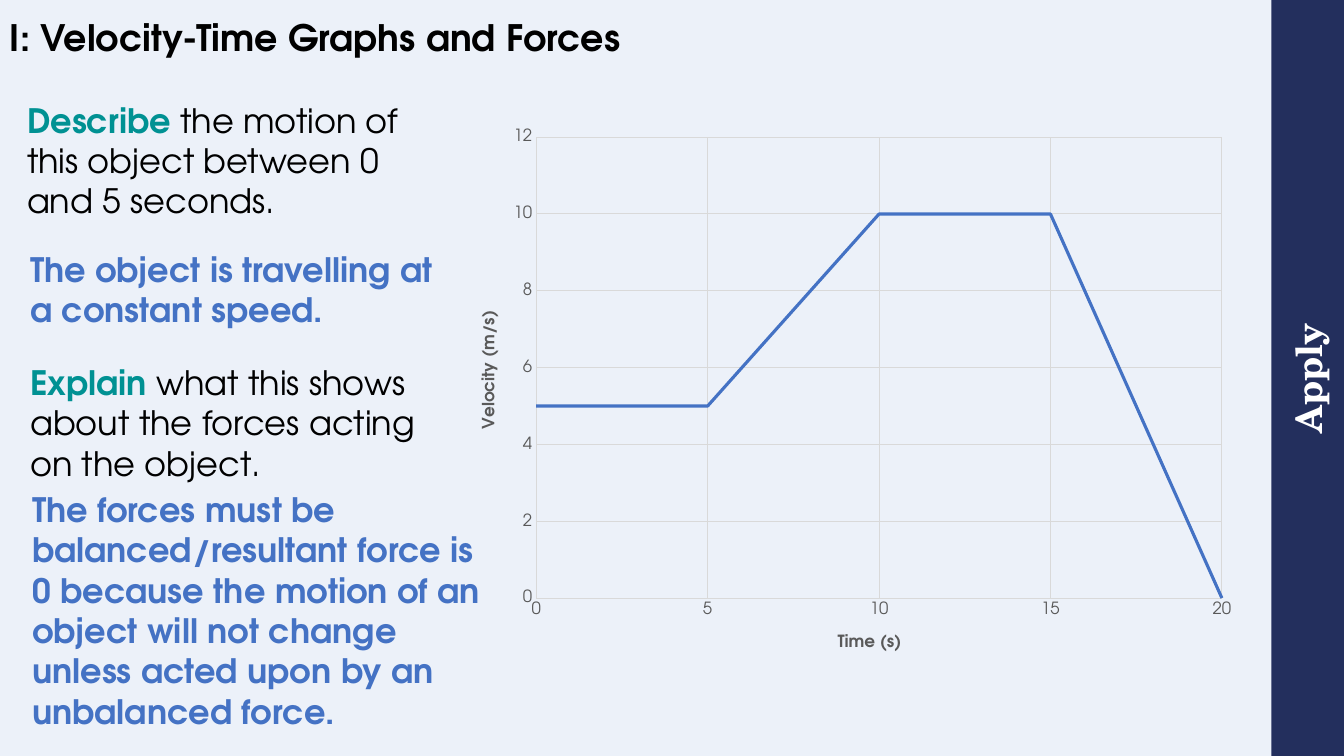
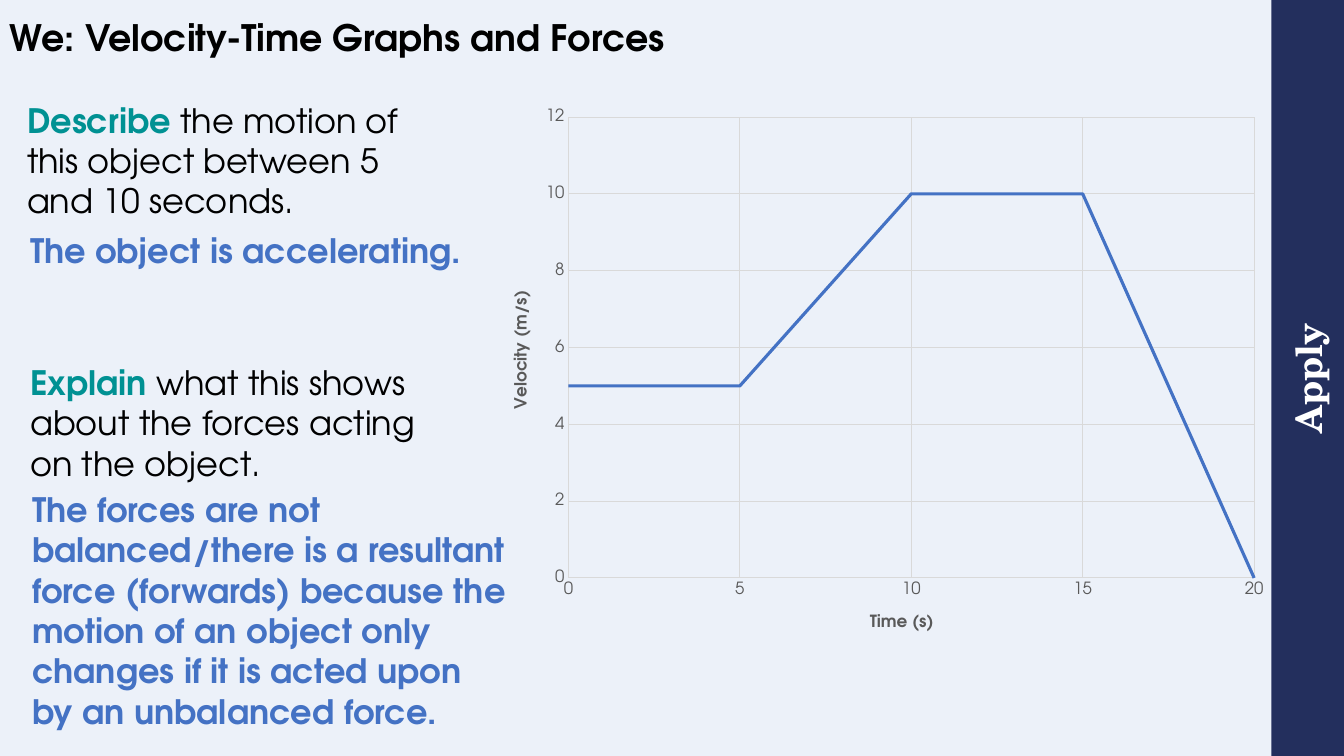
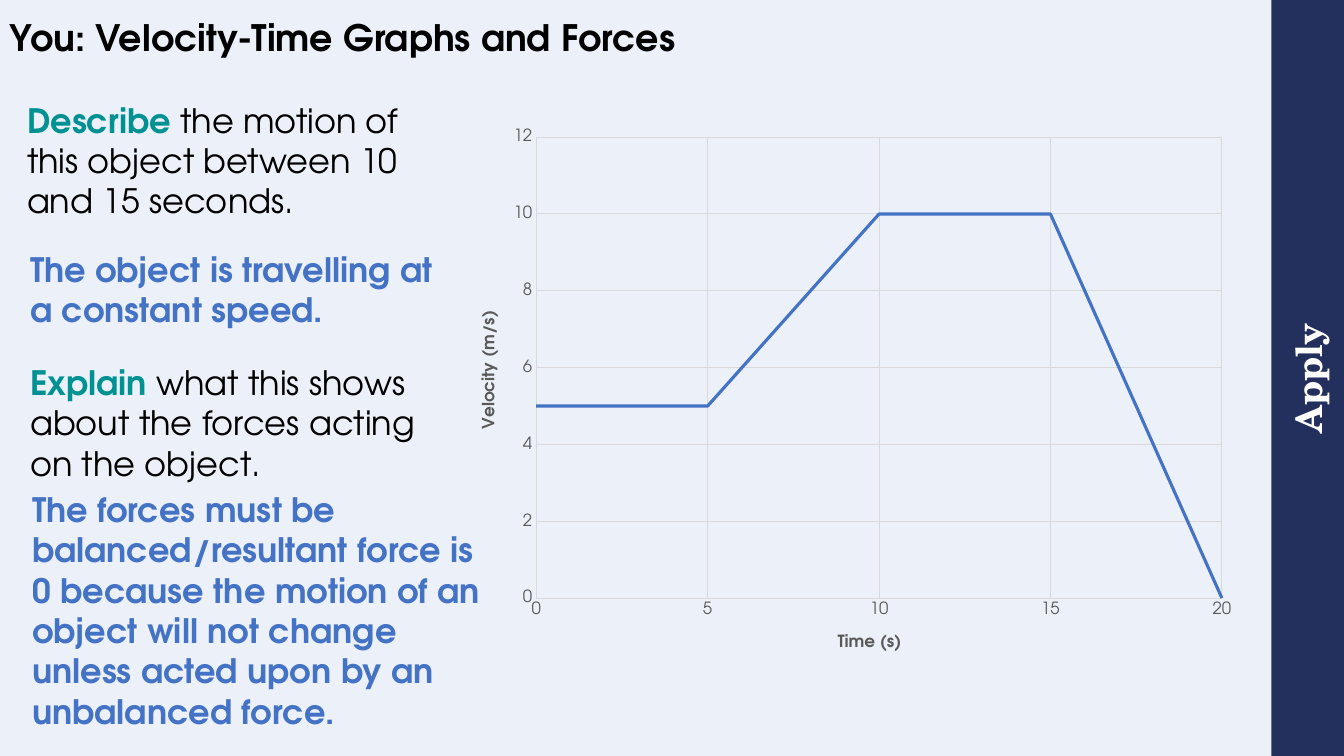
from lxml import etree
from pptx import Presentation
from pptx.chart.data import CategoryChartData
from pptx.dml.color import RGBColor
from pptx.enum.chart import XL_CHART_TYPE, XL_TICK_MARK
from pptx.enum.shapes import MSO_SHAPE
from pptx.enum.text import MSO_ANCHOR, MSO_AUTO_SIZE, PP_ALIGN
from pptx.oxml.ns import qn
from pptx.util import Inches, Pt

# Shared style
BODY_FONT, BAND_FONT = "TeX Gyre Adventor", "TeX Gyre Schola"
BACKGROUND, NAVY, BLUE, TEAL = "ECF1F9", "232F5D", "4472C4", "009193"
BLACK, WHITE, GRAY, GRID = "000000", "FFFFFF", "595959", "D9D9D9"
SLIDE_WIDTH, SLIDE_HEIGHT, BAND_WIDTH = 13.33, 7.5, 0.72
CHART_SIZE = (7.89, 5.51)

# Content
TOPIC = "Velocity-Time Graphs and Forces"
TIMES = ["0", "5", "10", "15", "20"]
VELOCITIES = [5, 5, 10, 10, 0]
EXPLAIN = " what this shows about the forces acting on the object."
CONSTANT = {
    "motion": "The object is travelling at a constant speed.",
    "motion_box": (0.2, 2.42, 4.27, 0.91),
    "forces": "The forces must be balanced/resultant force is 0 because the motion "
              "of an object will not change unless acted upon by an unbalanced force.",
    "forces_width": 4.68,
    "chart_at": (4.49, 1.18),
}
ACCELERATING = {
    "motion": "The object is accelerating.",
    "motion_box": (0.2, 2.23, 4.57, 0.5),
    "forces": "The forces are not balanced/there is a resultant force (forwards) "
              "because the motion of an object only changes if it is acted upon by "
              "an unbalanced force.",
    "forces_width": 4.91,
    "chart_at": (4.81, 0.98),
}
SLIDES = [
    ("I", 0, 5, CONSTANT),
    ("We", 5, 10, ACCELERATING),
    ("You", 10, 15, CONSTANT),
]


def color(value):
    return RGBColor.from_string(value)


def format_font(font, size, fill, bold=False, name=BODY_FONT):
    font.name, font.size, font.bold = name, Pt(size), bold
    font.color.rgb = color(fill)


def write_text(frame, runs, size=24, name=BODY_FONT, align=PP_ALIGN.LEFT,
               anchor=MSO_ANCHOR.TOP, spacing=None):
    """Write (text, colour, bold) runs as one paragraph."""
    frame.word_wrap = True
    frame.vertical_anchor = anchor
    paragraph = frame.paragraphs[0]
    paragraph.alignment = align
    if spacing:
        paragraph.line_spacing = spacing
    for text, fill, bold in runs:
        run = paragraph.add_run()
        run.text = text
        format_font(run.font, size, fill, bold, name)


def add_text(slide, box, runs, grow=True, **text_format):
    frame = slide.shapes.add_textbox(*map(Inches, box)).text_frame
    write_text(frame, runs, **text_format)
    frame.auto_size = MSO_AUTO_SIZE.SHAPE_TO_FIT_TEXT if grow else MSO_AUTO_SIZE.NONE


def add_band(slide):
    # The band is laid out horizontally, then turned about its centre
    left = SLIDE_WIDTH - (BAND_WIDTH + SLIDE_HEIGHT) / 2
    top = (SLIDE_HEIGHT - BAND_WIDTH) / 2
    band = slide.shapes.add_shape(MSO_SHAPE.RECTANGLE, *map(
        Inches, (left, top, SLIDE_HEIGHT, BAND_WIDTH)))
    band.rotation = 270
    band.shadow.inherit = False
    band.fill.solid()
    band.fill.fore_color.rgb = color(NAVY)
    band.line.fill.background()
    frame = band.text_frame
    frame.margin_left = frame.margin_right = frame.margin_top = frame.margin_bottom = 0
    write_text(frame, [("Apply", WHITE, True)], size=26, name=BAND_FONT,
               align=PP_ALIGN.CENTER, anchor=MSO_ANCHOR.MIDDLE)


def place(element, index, **values):
    """Give a chart part a manual layout in fractions of the chart."""
    layout = element.find(qn("c:layout"))
    if layout is None:
        layout = etree.Element(qn("c:layout"))
        element.insert(index, layout)
    manual = etree.SubElement(layout, qn("c:manualLayout"))
    if "w" in values:
        etree.SubElement(manual, qn("c:layoutTarget")).set("val", "inner")
    for mode in ("xMode", "yMode"):
        etree.SubElement(manual, qn("c:" + mode)).set("val", "edge")
    for key, value in values.items():
        etree.SubElement(manual, qn("c:" + key)).set("val", str(value))


def style_axis(axis, title, x, y):
    axis.has_major_gridlines = True
    axis.major_gridlines.format.line.color.rgb = color(GRID)
    axis.major_gridlines.format.line.width = Pt(0.75)
    axis.major_tick_mark = axis.minor_tick_mark = XL_TICK_MARK.NONE
    format_font(axis.tick_labels.font, 12, GRAY)
    run = axis.axis_title.text_frame.paragraphs[0].add_run()
    run.text = title
    format_font(run.font, 12, GRAY, bold=True)
    place(axis.axis_title._element, 1, x=x, y=y)


def add_velocity_chart(slide, position):
    data = CategoryChartData()
    data.categories = TIMES
    data.add_series("Series 1", VELOCITIES)
    chart = slide.shapes.add_chart(
        XL_CHART_TYPE.LINE, *map(Inches, position + CHART_SIZE), data).chart
    chart.has_title = chart.has_legend = False
    format_font(chart.font, 10, BLACK)

    plot = chart.plots[0]
    plot.vary_by_categories = False
    series = plot.series[0]
    series.smooth = False
    series.format.line.color.rgb = color(BLUE)
    series.format.line.width = Pt(2.25)

    time_axis, velocity_axis = chart.category_axis, chart.value_axis
    style_axis(time_axis, "Time (s)", 0.48, 0.92)
    time_axis.format.line.color.rgb = color(GRID)
    time_axis.format.line.width = Pt(0.75)
    style_axis(velocity_axis, "Velocity (m/s)", 0.03, 0.34)
    velocity_axis.format.line.fill.background()
    velocity_axis.minimum_scale, velocity_axis.maximum_scale = 0, 12
    velocity_axis.major_unit = 2

    # Start the line on the value axis
    plot_area = chart._chartSpace.chart.plotArea
    value_axis = plot_area.find(qn("c:valAx"))
    cross = value_axis.find(qn("c:crossBetween"))
    if cross is None:
        cross = etree.Element(qn("c:crossBetween"))
        value_axis.find(qn("c:crosses")).addnext(cross)
    cross.set("val", "midCat")
    place(plot_area, 0, x=0.105, y=0.033, w=0.862, h=0.83)


def build_slide(presentation, who, start, end, answer):
    slide = presentation.slides.add_slide(presentation.slide_layouts[6])
    add_band(slide)
    add_velocity_chart(slide, answer["chart_at"])
    add_text(slide, (0, 0, 11.61, 0.79), [(f"{who}: {TOPIC}", BLACK, True)],
             grow=False, size=26, anchor=MSO_ANCHOR.MIDDLE, spacing=0.9)
    # Questions, each followed by its answer
    describe = f" the motion of this object between {start} and {end} seconds."
    add_text(slide, (0.17, 0.94, 4.27, 1.31),
             [("Describe", TEAL, True), (describe, BLACK, False)])
    add_text(slide, answer["motion_box"], [(answer["motion"], BLUE, True)])
    add_text(slide, (0.2, 3.54, 4.27, 1.31),
             [("Explain", TEAL, True), (EXPLAIN, BLACK, False)])
    add_text(slide, (0.22, 4.8, answer["forces_width"], 2.52),
             [(answer["forces"], BLUE, True)])


def main():
    presentation = Presentation()
    presentation.slide_width = Inches(SLIDE_WIDTH)
    presentation.slide_height = Inches(SLIDE_HEIGHT)
    fill = presentation.slide_master.background.fill
    fill.solid()
    fill.fore_color.rgb = color(BACKGROUND)
    for content in SLIDES:
        build_slide(presentation, *content)
    presentation.save("out.pptx")


if __name__ == "__main__":
    main()
